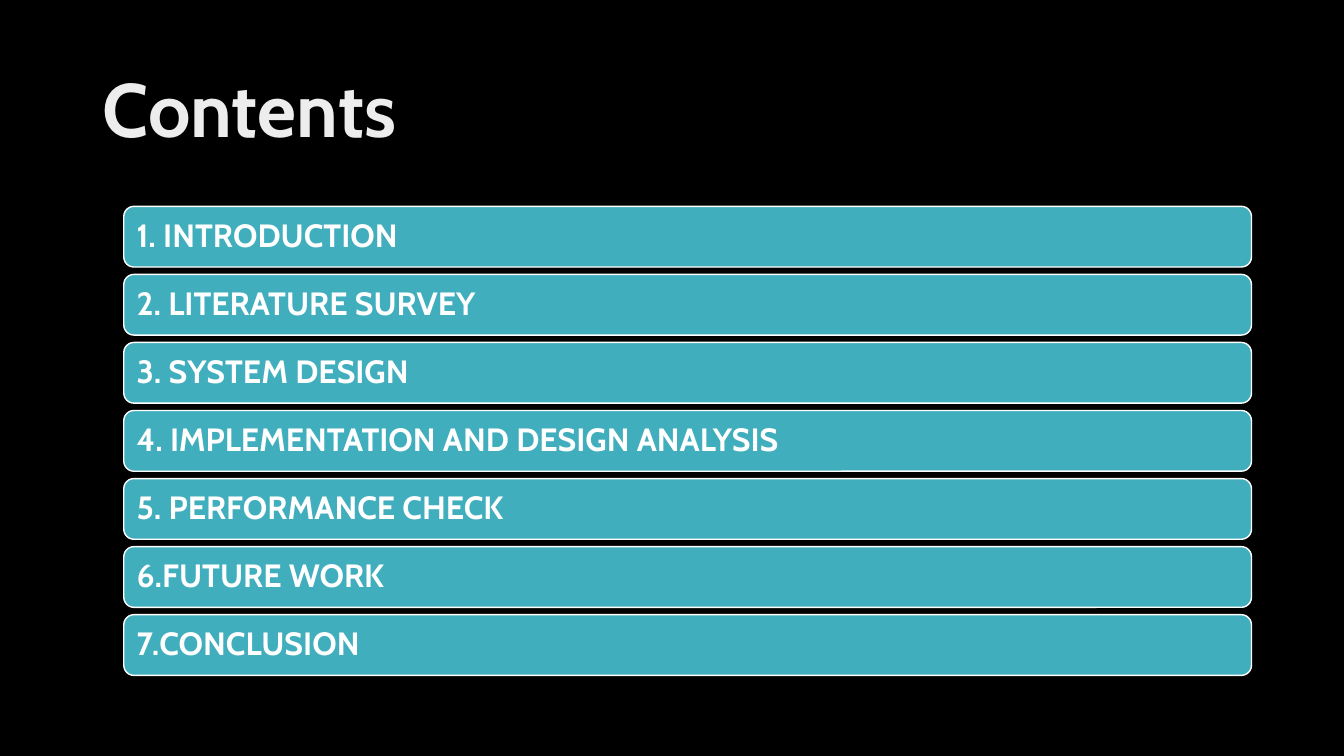
from dataclasses import dataclass

import pptx
import pptx.dml.color
import pptx.enum.shapes
import pptx.enum.text
import pptx.slide
import pptx.text.text
import pptx.util
from pptx.util import Cm

FONT = "Cabin"
BAR_LEFT, BAR_TOP = 3.12, 5.2
BAR_WIDTH, BAR_HEIGHT = 28.42, 1.53
BAR_PITCH = 1.715


@dataclass(frozen=True)
class Chapter:
    label: str
    top: float


CHAPTERS = [
    Chapter(label, BAR_TOP + index * BAR_PITCH)
    for index, label in enumerate([
        "1. INTRODUCTION",
        "2. LITERATURE SURVEY",
        "3. SYSTEM DESIGN",
        "4. IMPLEMENTATION AND DESIGN ANALYSIS",
        "5. PERFORMANCE CHECK",
        "6.FUTURE WORK",
        "7.CONCLUSION",
    ])
]


def color(hex_code: str) -> pptx.dml.color.RGBColor:
    return pptx.dml.color.RGBColor.from_string(hex_code)


def write(frame: pptx.text.text.TextFrame, text: str, size: float, hex_code: str) -> None:
    """Fill a frame with one bold, left-aligned line."""
    frame.text = text
    frame.word_wrap = True
    frame.auto_size = pptx.enum.text.MSO_AUTO_SIZE.NONE
    frame.vertical_anchor = pptx.enum.text.MSO_ANCHOR.MIDDLE
    paragraph = frame.paragraphs[0]
    paragraph.alignment = pptx.enum.text.PP_ALIGN.LEFT
    paragraph.line_spacing = 0.9
    paragraph.font.name = FONT
    paragraph.font.size = pptx.util.Pt(size)
    paragraph.font.bold = True
    paragraph.font.color.rgb = color(hex_code)


def add_chapter(slide: pptx.slide.Slide, chapter: Chapter) -> None:
    bar = slide.shapes.add_shape(
        pptx.enum.shapes.MSO_SHAPE.ROUNDED_RECTANGLE,
        Cm(BAR_LEFT), Cm(chapter.top), Cm(BAR_WIDTH), Cm(BAR_HEIGHT),
    )
    bar.shadow.inherit = False
    bar.fill.solid()
    bar.fill.fore_color.rgb = color("41AEBD")
    bar.line.color.rgb = color("FFFFFF")
    bar.line.width = pptx.util.Pt(1)
    write(bar.text_frame, chapter.label, 23, "FFFFFF")


def main() -> None:
    presentation = pptx.Presentation()
    presentation.slide_width = Cm(33.87)
    presentation.slide_height = Cm(19.05)
    slide = presentation.slides.add_slide(presentation.slide_layouts[5])

    # Background
    slide.background.fill.solid()
    slide.background.fill.fore_color.rgb = color("000000")

    # Title
    title = slide.shapes.title
    title.left, title.top = Cm(2.34), Cm(1.02)
    title.width, title.height = Cm(29.2), Cm(3.68)
    write(title.text_frame, "Contents", 54, "EDEDED")

    # Chapter bars
    for chapter in CHAPTERS:
        add_chapter(slide, chapter)

    presentation.save("out.pptx")


if __name__ == "__main__":
    main()
